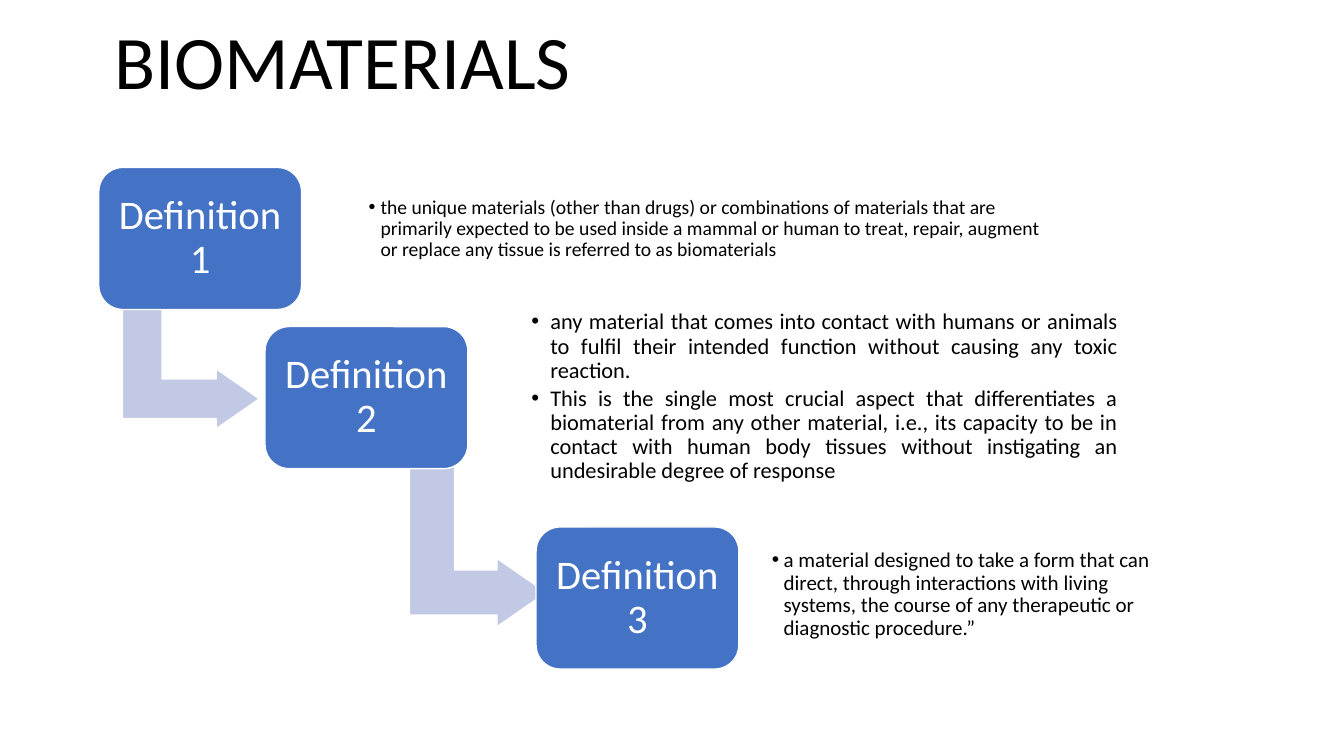
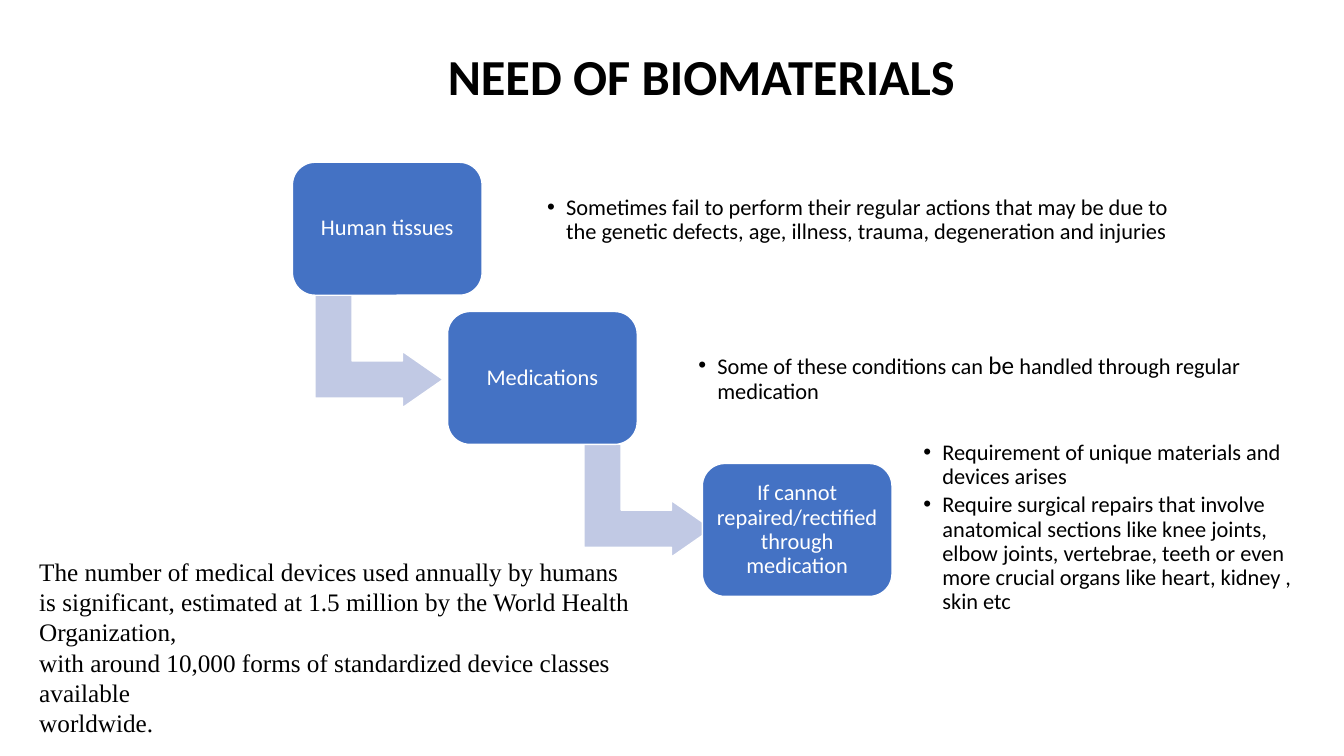
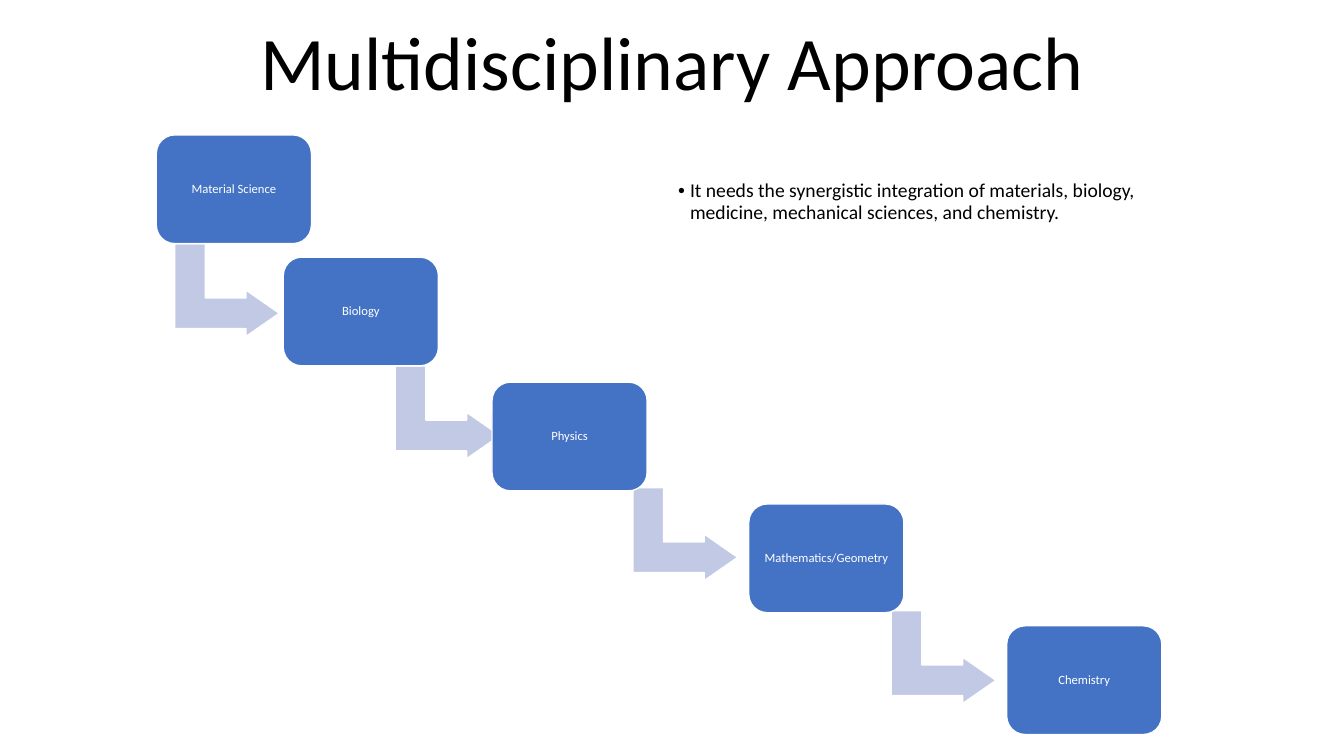
from dataclasses import dataclass

from lxml import etree
from pptx import Presentation
from pptx.dml.color import RGBColor
from pptx.enum.shapes import MSO_SHAPE
from pptx.enum.text import MSO_ANCHOR, MSO_AUTO_SIZE, PP_ALIGN
from pptx.oxml.ns import qn
from pptx.util import Cm, Pt

ROUND, BENT = MSO_SHAPE.ROUNDED_RECTANGLE, MSO_SHAPE.BENT_UP_ARROW
LEFT, MID, JUST = PP_ALIGN.LEFT, PP_ALIGN.CENTER, PP_ALIGN.JUSTIFY
TOP, CENTRE, BOTTOM = MSO_ANCHOR.TOP, MSO_ANCHOR.MIDDLE, MSO_ANCHOR.BOTTOM
FIXED = MSO_AUTO_SIZE.NONE


@dataclass(frozen=True)
class Theme:
    ink: RGBColor = RGBColor(0, 0, 0)
    white: RGBColor = RGBColor(255, 255, 255)
    blue: RGBColor = RGBColor(0x44, 0x72, 0xC4)
    pale: RGBColor = RGBColor(0xC1, 0xC9, 0xE4)
    sans: str = "Calibri"
    serif: str = "Times New Roman"
    title: int = 54
    head: int = 36
    label: int = 29
    large: int = 18
    body: int = 16
    mid: int = 15
    small: int = 14
    tiny: int = 9


T = Theme()


@dataclass(frozen=True)
class Arrow:
    """Place before the quarter turn; long is the drop."""
    x: float
    y: float
    long: float


@dataclass(frozen=True)
class Step:
    text: str
    x: float
    y: float
    arrow: Arrow | None = None


@dataclass(frozen=True)
class Note:
    """Bulleted text; every second run of a paragraph is large."""
    x: float
    y: float
    wide: float
    high: float
    paras: tuple[tuple[str, ...], ...]
    size: int = T.body
    pad: float = 0.18
    hang: float = 0.48
    align: PP_ALIGN = LEFT


@dataclass(frozen=True)
class Page:
    title: str
    left: float
    top: float
    size: int
    bold: bool
    wide: float
    high: float
    depth: float
    label: int
    pad: float
    steps: tuple[Step, ...]
    notes: tuple[Note, ...]


PAGES = (
    Page("BIOMATERIALS", -4.06, 0.61, T.title, False, 5.11, 3.58, 3.45, T.label, 0.3,
         (Step("Definition 1", 2.49, 4.22, Arrow(3.3, 7.57, 3.02)),
          Step("Definition 2", 6.68, 8.23, Arrow(9.55, 11.58, 4.98)),
          Step("Definition 3", 13.51, 13.28)),
         (Note(9.14, 4.32, 17.58, 2.9, ((
             "the unique materials (other than drugs) or combinations of materials "
             "that are primarily expected to be used inside a mammal or human to "
             "treat, repair, augment or replace any tissue is referred to as "
             "biomaterials",),), T.small, 0.15, 0.3),
          Note(13.21, 8.56, 15.14, 2.9, ((
              "any material that comes into contact with humans or animals to fulfil "
              "their intended function without causing any toxic reaction.",), (
              "This is the single most crucial aspect that differentiates a "
              "biomaterial from any other material, i.e., its capacity to be in "
              "contact with human body tissues without instigating an undesirable "
              "degree of response",)), align=JUST),
          Note(19.25, 13.54, 10.49, 2.9, ((
              "a material designed to take a form that can direct, through "
              "interactions with living systems, the course of any therapeutic or "
              "diagnostic procedure.”",),), T.mid, 0.2, 0.3))),
    Page("NEED OF BIOMATERIALS", 4.98, 0.64, T.head, True, 4.78, 3.35, 3.23, T.body, 0.18,
         (Step("Human tissues", 7.37, 4.09, Arrow(8.13, 7.24, 2.84)),
          Step("Medications", 11.28, 7.85, Arrow(14.91, 11, 2.84)),
          Step("If cannot repaired/rectified through medication", 17.7, 11.68)),
         (Note(13.61, 4.19, 16.51, 2.72, ((
             "Sometimes fail to perform their regular actions that may be due to the "
             "genetic defects, age, illness, trauma, degeneration and injuries",),)),
          Note(17.42, 8.18, 14.2, 2.72, ((
              "Some of these conditions can ", "be",
              " handled through regular medication"),)),
          Note(23.09, 11.94, 9.83, 2.72, ((
              "Requirement of unique materials and devices arises",), (
              "Require surgical repairs that involve anatomical sections like knee "
              "joints, elbow joints, vertebrae, teeth or even more crucial organs "
              "like heart, kidney , skin etc",))))),
    Page("Multidisciplinary Approach", 4.24, 0.64, T.title, False,
         3.91, 2.74, 2.64, T.tiny, 0.1,
         (Step("Material Science", 3.94, 3.4, Arrow(4.55, 5.99, 2.34)),
          Step("Biology", 7.14, 6.48, Arrow(10.11, 9.07, 2.34)),
          Step("Physics", 12.4, 9.63, Arrow(16.1, 12.14, 2.34)),
          Step("Mathematics/Geometry", 18.87, 12.7, Arrow(22.61, 15.24, 2.34)),
          Step("Chemistry", 25.37, 15.77)),
         (Note(16.94, 3.99, 13.51, 2.21, ((
             "It needs the synergistic integration of materials, biology, medicine, "
             "mechanical sciences, and chemistry.",),), T.small, 0.15, 0.3),)),
)

FACTS = (
    ("The number of medical devices used annually by humans",),
    ("is significant, estimated at 1.5 million by the World Health Organization,",),
    ("with around 10,000 forms of standardized device classes available",),
    ("worldwide.",),
)


def style(item, values: dict) -> None:
    for name, value in values.items():
        setattr(item, name, value)


def frame(shape, anchor: MSO_ANCHOR, pad: float | None = None):
    """Set wrapping, anchor and equal margins, and return the text frame."""
    box = shape.text_frame
    style(box, {"auto_size": FIXED, "word_wrap": True, "vertical_anchor": anchor})
    if pad is not None:
        sides = ("left", "right", "top", "bottom")
        style(box, {f"margin_{side}": Cm(pad) for side in sides})
    return box


def bullet(para, hang: float) -> None:
    props = para._p.get_or_add_pPr()
    props.set("marL", str(Cm(hang)))
    props.set("indent", str(-Cm(hang)))
    etree.SubElement(props, qn("a:buFont")).set("typeface", "Arial")
    etree.SubElement(props, qn("a:buChar")).set("char", "•")


def write(box, paras: tuple[tuple[str, ...], ...], size: int, ink: RGBColor = T.ink,
          align: PP_ALIGN = MID, face: str = T.sans, bold: bool = False,
          hang: float = 0, lead: float = 0.9) -> None:
    for row, runs in enumerate(paras):
        para = box.add_paragraph() if row else box.paragraphs[0]
        if hang:
            bullet(para, hang)
        style(para, {"alignment": align, "line_spacing": lead})
        if row and hang:
            para.space_before = Pt(round(size * 0.18, 1))
        for spot, text in enumerate(runs):
            run = para.add_run()
            run.text = text
            points = T.large if spot % 2 else size
            style(run.font, {"name": face, "size": Pt(points), "bold": bold})
            run.font.color.rgb = ink


def block(slide, kind: MSO_SHAPE, x: float, y: float, wide: float, high: float,
          fill: RGBColor, bends: tuple[float, ...]):
    """Add a filled preset shape with a thin white edge."""
    shape = slide.shapes.add_shape(kind, Cm(x), Cm(y), Cm(wide), Cm(high))
    shape.shadow.inherit = False
    shape.fill.solid()
    shape.fill.fore_color.rgb = fill
    shape.line.color.rgb = T.white
    shape.line.width = Pt(1)
    for spot, bend in enumerate(bends):
        shape.adjustments[spot] = bend
    return shape


def text_box(slide, x: float, y: float, wide: float, high: float):
    return slide.shapes.add_textbox(Cm(x), Cm(y), Cm(wide), Cm(high))


def draw(deck, page: Page):
    slide = deck.slides.add_slide(deck.slide_layouts[5])
    title = slide.shapes.title
    style(title, {"left": Cm(page.left), "top": Cm(page.top),
                  "width": Cm(25.4), "height": Cm(2.18)})
    write(frame(title, BOTTOM), ((page.title,),), page.size, bold=page.bold)
    for step in page.steps:
        if step.arrow:
            arrow = step.arrow
            bent = block(slide, BENT, arrow.x, arrow.y, arrow.long, page.depth,
                         T.pale, (0.33, 0.25, 0.36))
            bent.rotation = 90
        card = block(slide, ROUND, step.x, step.y, page.wide, page.high,
                     T.blue, (0.17,))
        write(frame(card, CENTRE, page.pad), ((step.text,),), page.label, T.white)
    for note in page.notes:
        box = text_box(slide, note.x, note.y, note.wide, note.high)
        write(frame(box, CENTRE, note.pad), note.paras, note.size,
              align=note.align, hang=note.hang)
    return slide


def main() -> None:
    deck = Presentation()
    style(deck, {"slide_width": Cm(33.87), "slide_height": Cm(19.05)})
    slides = [draw(deck, page) for page in PAGES]
    facts = text_box(slides[1], 0.74, 13.89, 16.94, 4.88)
    write(frame(facts, TOP), FACTS, T.large, align=LEFT, face=T.serif, lead=1.0)
    deck.save("out.pptx")


if __name__ == "__main__":
    main()
